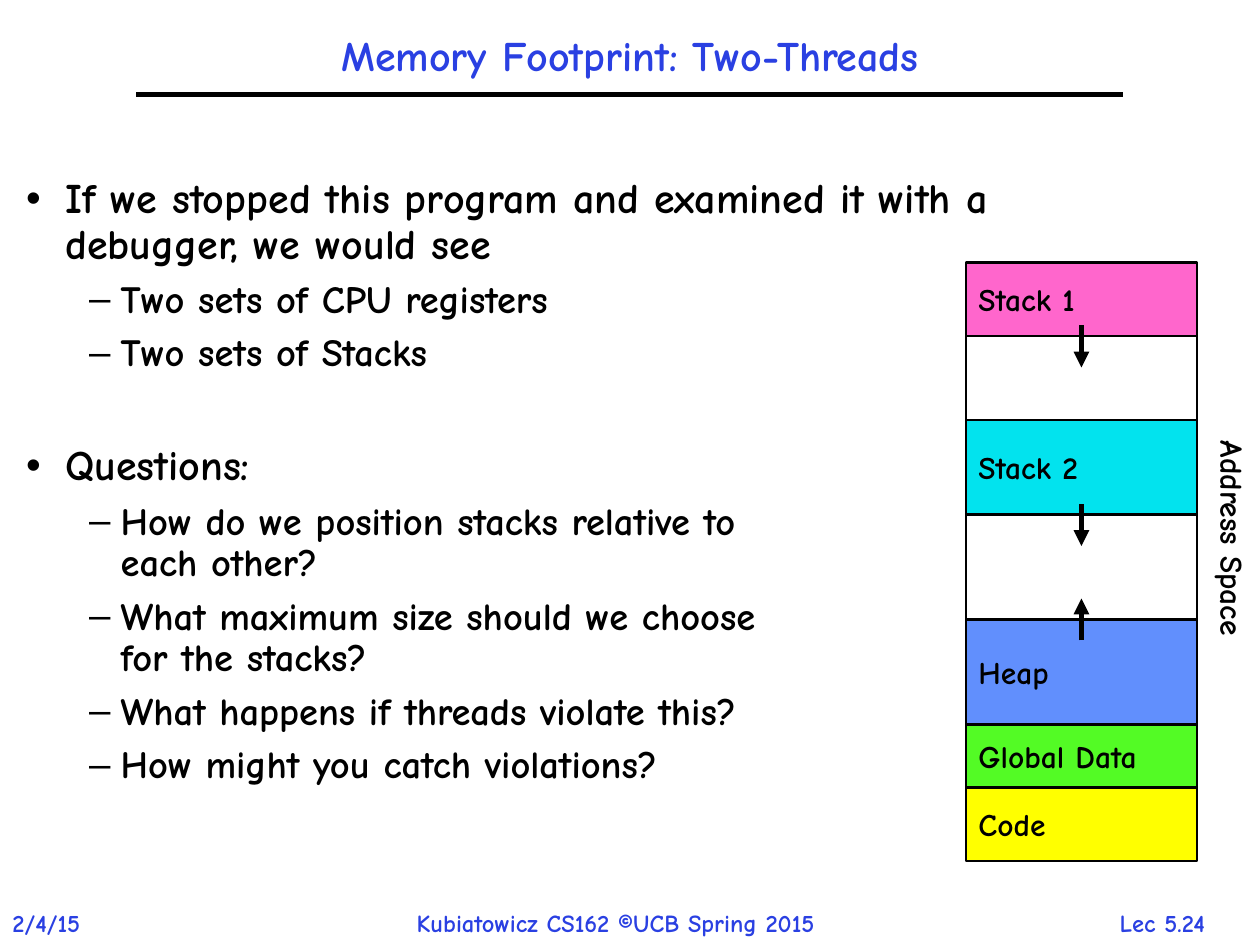
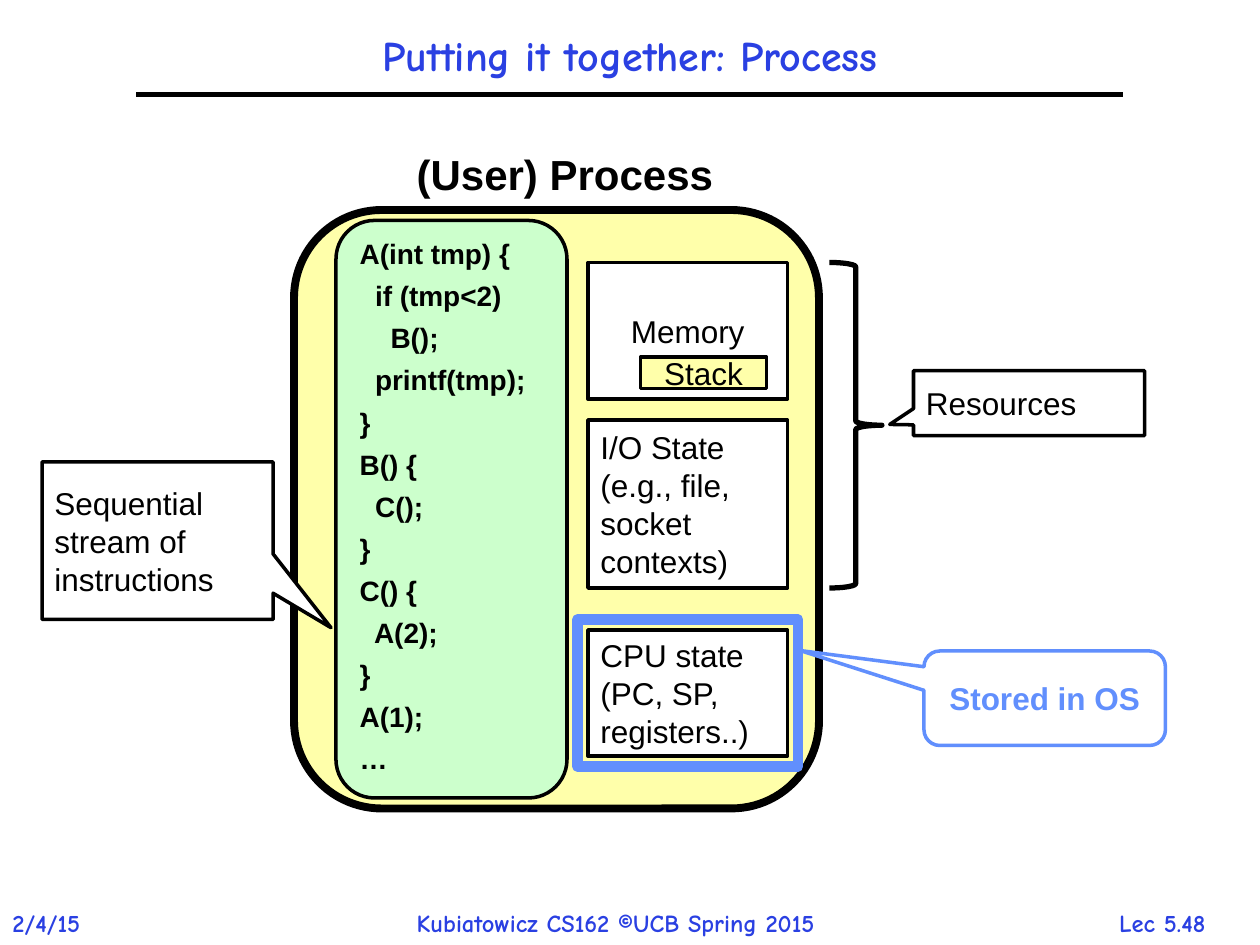
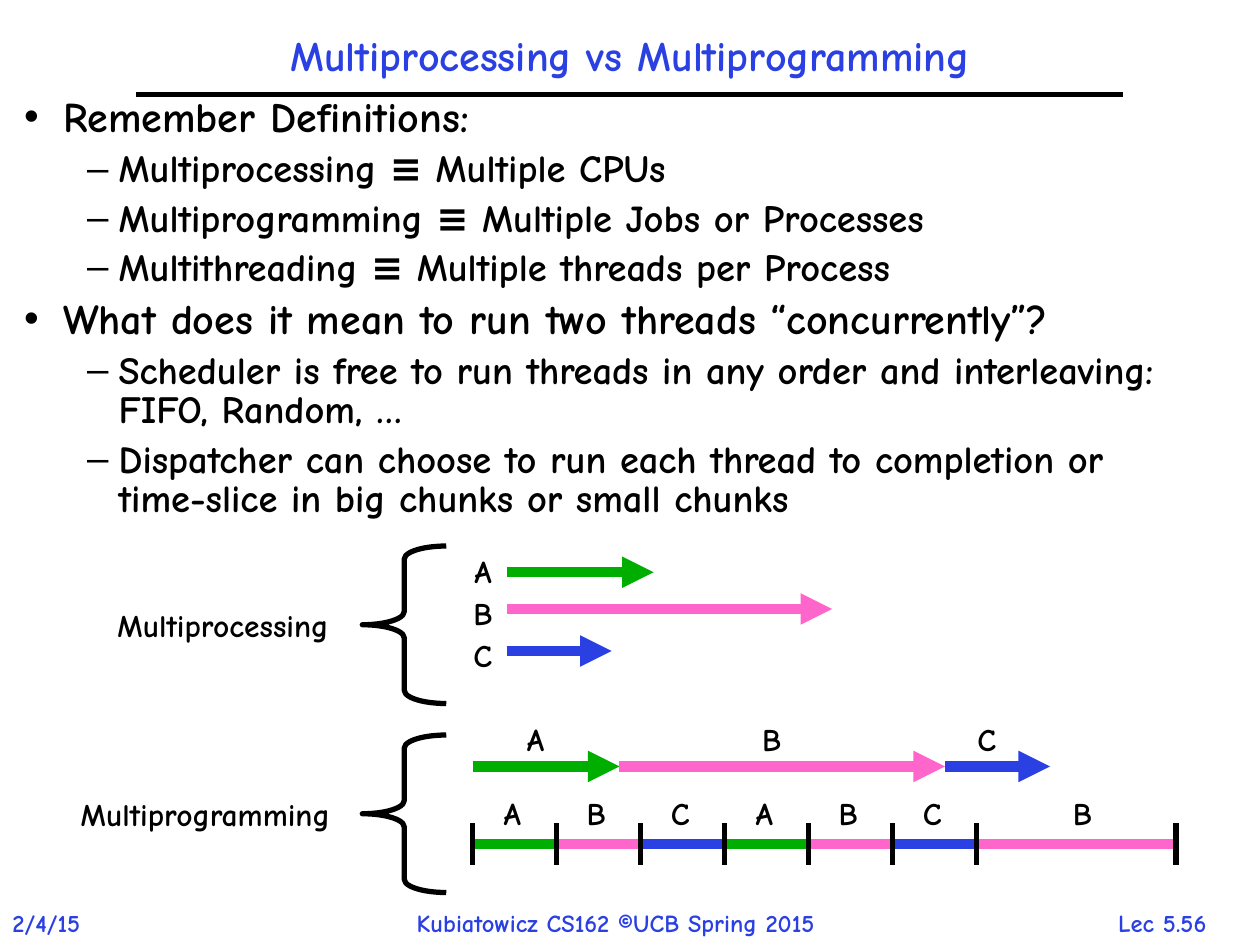
"""Build three lecture slides on threads, processes and multiprogramming."""
from lxml import etree
from pptx import Presentation
from pptx import util as u
from pptx.dml.color import RGBColor
from pptx.enum import shapes, text
from pptx.oxml import ns

BLACK = RGBColor(0x00, 0x00, 0x00)
WHITE = RGBColor(0xFF, 0xFF, 0xFF)
BLUE = RGBColor(0x2A, 0x40, 0xE2)
SKY = RGBColor(0x61, 0x8F, 0xFD)
PINK = RGBColor(0xFF, 0x66, 0xCC)
CYAN = RGBColor(0x02, 0xE3, 0xEE)
LIME = RGBColor(0x53, 0xFB, 0x25)
YELLOW = RGBColor(0xFF, 0xFF, 0x00)
CREAM = RGBColor(0xFF, 0xFF, 0xAA)
MINT = RGBColor(0xCC, 0xFF, 0xCC)
GREEN = RGBColor(0x00, 0xAE, 0x00)

COLUMNS, ROWS, PER_INCH = 120, 90, 12
LEFT, CENTER = text.PP_ALIGN.LEFT, text.PP_ALIGN.CENTER
SHAPE = shapes.MSO_SHAPE

TITLE = {"name": "Comic Neue", "size": u.Pt(24), "bold": True}
FOOTER = {**TITLE, "size": u.Pt(14)}
LABEL = {**TITLE, "size": u.Pt(18)}
PLAIN = {"name": "Arial", "size": u.Pt(18), "bold": False}
STRONG = {**PLAIN, "bold": True}
HEADING = {**STRONG, "size": u.Pt(24)}
CODE = {**STRONG, "size": u.Pt(16)}

LEVEL_SIZES = (24, 22)
LEVEL_INDENTS = ((0.31, -0.31), (0.75, -0.25))
JOB_COLOURS = {"A": GREEN, "B": PINK, "C": BLUE}

DEBUGGER_POINTS = [
    (0, "If we stopped this program and examined it with a debugger, we would see"),
    (1, "Two sets of CPU registers"),
    (1, "Two sets of Stacks"),
    (0, "Questions:"),
    (1, "How do we position stacks relative to\veach other?"),
    (1, "What maximum size should we choose\vfor the stacks?"),
    (1, "What happens if threads violate this?"),
    (1, "How might you catch violations?"),
]
DEFINITION_POINTS = [
    (0, "Remember Definitions:"),
    (1, "Multiprocessing ≡ Multiple CPUs"),
    (1, "Multiprogramming ≡ Multiple Jobs or Processes"),
    (1, "Multithreading ≡ Multiple threads per Process"),
    (0, "What does it mean to run two threads “concurrently”?"),
    (1, "Scheduler is free to run threads in any order and interleaving: FIFO, Random, …"),
    (1, "Dispatcher can choose to run each thread to completion or time-slice "
        "in big chunks or small chunks"),
]
MEMORY_SEGMENTS = [
    ("Stack 1", 7, PINK), ("", 8, WHITE), ("Stack 2", 9, CYAN), ("", 10, WHITE),
    ("Heap", 10, SKY), ("Global Data", 6, LIME), ("Code", 7, YELLOW),
]
PROGRAM = """A(int tmp) {
  if (tmp<2)
    B();
  printf(tmp);
}
B() {
  C();
}
C() {
  A(2);
}
A(1);
…""".split("\n")


def cells(count):
    """Turn a number of grid cells into a length."""
    return u.Inches(count / PER_INCH)


def assign(target, values):
    """Set each named attribute of the target."""
    for name, value in values.items():
        setattr(target, name, value)


def within(box, left, top, width, height):
    """Shift a relative box to the corner of its parent box."""
    return box[0] + left, box[1] + top, width, height


def write(frame, lines, style, colour=BLACK, align=LEFT, **spacing):
    """Fill a text frame with one paragraph for each line."""
    before = spacing.pop("space_before", None)
    for index, line in enumerate(lines):
        para = frame.add_paragraph() if index else frame.paragraphs[0]
        para.text = line
        assign(para, {"alignment": align, **spacing})
        if index and before:
            para.space_before = before
        assign(para.font, style)
        para.font.color.rgb = colour


def add_label(page, box, line, style=LABEL, colour=BLACK, align=LEFT):
    """Add a one-line text box."""
    label = page.shapes.add_textbox(*map(cells, box))
    label.text_frame.word_wrap = True
    write(label.text_frame, [line], style, colour, align)
    return label


def add_figure(page, kind, box, fill=WHITE, line=BLACK, width=2, adjust=()):
    """Add a flat preset shape with an outline."""
    figure = page.shapes.add_shape(kind, *map(cells, box))
    figure.shadow.inherit = False
    if fill is None:
        figure.fill.background()
    else:
        figure.fill.solid()
        figure.fill.fore_color.rgb = fill
    figure.line.color.rgb = line
    figure.line.width = u.Pt(width)
    for index, value in enumerate(adjust):
        figure.adjustments[index] = value
    assign(figure.text_frame,
           {"word_wrap": True, "vertical_anchor": text.MSO_ANCHOR.MIDDLE})
    return figure


def add_line(page, start, end, colour=BLACK, width=3, arrow=False):
    """Add a straight line between two grid points."""
    line = page.shapes.add_connector(
        shapes.MSO_CONNECTOR.STRAIGHT, *map(cells, (*start, *end)))
    line.line.color.rgb = colour
    line.line.width = u.Pt(width)
    if arrow:
        etree.SubElement(line.line._get_or_add_ln(), ns.qn("a:tailEnd"), type="triangle")
    etree.SubElement(line._element.spPr, ns.qn("a:effectLst"))


def place(holder, box, **frame_values):
    """Move a placeholder to a box and return its text frame."""
    assign(holder, dict(zip(("left", "top", "width", "height"), map(cells, box))))
    assign(holder.text_frame, {"auto_size": text.MSO_AUTO_SIZE.NONE, **frame_values})
    return holder.text_frame


def add_page(deck, layout, title, number):
    """Start a slide with its title, rule and footers."""
    page = deck.slides.add_slide(deck.slide_layouts.get_by_name(layout))
    frame = place(page.shapes.title, (13, 2, 94, 7), vertical_anchor=text.MSO_ANCHOR.MIDDLE)
    write(frame, [title], TITLE, BLUE, CENTER, line_spacing=0.9)
    add_line(page, (13, 9), (107, 9))
    footers = ((0, 12, "2/4/15", LEFT),
               (38.5, 46.5, "Kubiatowicz CS162 ©UCB Spring 2015", LEFT),
               (103.4, 14.6, f"Lec {number}", CENTER))
    for left, width, line, align in footers:
        add_label(page, (left, 85.9, width, 4), line, FOOTER, BLUE, align)
    return page


def fill_body(page, box, points, spacing, share):
    """Set the two-level list, spaced by a share of the text size."""
    frame = place(page.placeholders[1], box, vertical_anchor=text.MSO_ANCHOR.TOP)
    write(frame, [line for _, line in points], TITLE, line_spacing=spacing)
    for index, (para, (level, _)) in enumerate(zip(frame.paragraphs, points)):
        size = LEVEL_SIZES[level]
        margin, indent = LEVEL_INDENTS[level]
        props = para._p.get_or_add_pPr()
        props.set("marL", str(u.Inches(margin)))
        props.set("indent", str(u.Inches(indent)))
        para.level = level
        para.font.size = u.Pt(size)
        para.space_before = u.Pt(size * share if index else 0)
    return frame


def draw_memory_map(page, box):
    """Stack the memory segments and show how they grow."""
    left, top, width, _ = box
    segment_top = 0
    for name, height, colour in MEMORY_SEGMENTS:
        segment = add_figure(page, SHAPE.RECTANGLE,
                             within(box, 0, segment_top, width, height), colour, width=1.5)
        if name:
            write(segment.text_frame, [name], LABEL)
        segment_top += height
    middle = left + width / 2
    for start, end in ((6, 10), (23, 27), (36, 32)):
        add_line(page, (middle, top + start), (middle, top + end), arrow=True)
    label = add_label(page, within(box, 13.2, 25.6, 24.4, 4.8), "Address Space")
    label.rotation = 90


def draw_process(page, box):
    """Draw the process with its code, resources and processor state."""
    add_figure(page, SHAPE.ROUNDED_RECTANGLE, box, CREAM, width=4.5, adjust=(0.167,))
    add_label(page, within(box, 7.8, -6.4, 36, 6), "(User) Process", HEADING, align=CENTER)
    parts = (
        ((28, 5, 19, 13), ["Memory"], WHITE, CENTER),
        ((33, 14, 12, 3), ["Stack"], CREAM, CENTER),
        ((28, 20, 19, 16), ["I/O State", "(e.g., file, socket contexts)"], WHITE, LEFT),
        ((28, 40, 19, 12), ["CPU state (PC, SP, registers..)"], WHITE, LEFT),
    )
    for part, lines, fill, align in parts:
        figure = add_figure(page, SHAPE.RECTANGLE, within(box, *part), fill)
        write(figure.text_frame, lines, PLAIN, align=align)
    add_figure(page, SHAPE.RECTANGLE, within(box, 27, 39, 21, 14), None, SKY, 6)


def draw_notes(page, box):
    """Add the code and the callouts around the process."""
    add_figure(page, SHAPE.RIGHT_BRACE, within(box, 51, 5, 5, 31), width=3, adjust=(0.083, 0.5))
    callouts = (
        ((-24, 24, 22, 15), "Sequential stream of instructions", (0.751, 0.552)),
        ((59, 15.3, 22, 6.2), "Resources", (-0.603, 0.327)),
    )
    for part, line, adjust in callouts:
        callout = add_figure(page, SHAPE.RECTANGULAR_CALLOUT, within(box, *part), adjust=adjust)
        write(callout.text_frame, [line], PLAIN)
    stored = add_figure(page, SHAPE.ROUNDED_RECTANGULAR_CALLOUT, within(box, 60, 42, 23, 9),
                        line=SKY, adjust=(-1.013, -0.505, 0.167))
    write(stored.text_frame, ["Stored in OS"], STRONG, SKY, CENTER)
    code = add_figure(page, SHAPE.ROUNDED_RECTANGLE, within(box, 4, 1, 22, 55), MINT,
                      adjust=(0.167,))
    write(code.text_frame, PROGRAM, CODE, line_spacing=0.8, space_before=u.Pt(8.7))


def add_job_label(page, middle, top, job):
    """Centre the letter of a job on a column."""
    add_label(page, (middle - 2.5, top, 5, 4.8), job, align=CENTER)


def draw_brace(page, box, name, indent):
    """Name a timeline and open its brace."""
    add_label(page, within(box, indent, 5.1, 28, 4.8), name)
    add_figure(page, SHAPE.LEFT_BRACE, within(box, 28, 0, 8, 15), None, width=3,
               adjust=(0.156, 0.5))


def draw_multiprocessing(page, box):
    """Run the jobs side by side."""
    left, top = box[:2]
    draw_brace(page, box, "Multiprocessing", 3.5)
    start = left + 41.75
    for row, (job, length, drop) in enumerate((("A", 14, 2.5), ("B", 31, 6), ("C", 10, 10))):
        add_job_label(page, left + 39.5, top + 4 * row, job)
        add_line(page, (start, top + drop), (start + length, top + drop),
                 JOB_COLOURS[job], 6, True)


def draw_multiprogramming(page, box):
    """Run the jobs in turn, whole and then in slices."""
    left, top = box[:2]
    draw_brace(page, box, "Multiprogramming", 0)
    start = left + 38.5
    for job, length in (("A", 14), ("B", 31), ("C", 10)):
        add_line(page, (start, top + 3), (start + length, top + 3), JOB_COLOURS[job], 6, True)
        add_job_label(page, start + length / 2 - 1, top - 2, job)
        start += length
    start, lane = left + 38.5, top + 10.4
    slices = [(job, 8, -0.2) for job in "ABCABC"] + [("B", 19, 0.6)]
    ticks = [start]
    for job, length, nudge in slices:
        add_line(page, (start, lane), (start + length, lane), JOB_COLOURS[job], 6)
        add_job_label(page, start + length / 2 + nudge, top + 5, job)
        start += length
        ticks.append(start)
    for tick in ticks:
        add_line(page, (tick, lane - 2), (tick, lane + 2))


def build_footprint(deck):
    """Build the slide on the memory of two threads."""
    page = add_page(deck, "Title and Content", "Memory Footprint: Two-Threads", "5.24")
    frame = fill_body(page, (1.3, 16.3, 107, 67), DEBUGGER_POINTS, 0.9, 0.31)
    frame.paragraphs[3].space_before = u.Pt(39.6)
    draw_memory_map(page, (92, 25, 22, 57))


def build_process(deck):
    """Build the slide on the parts of a process."""
    page = add_page(deck, "Title Only", "Putting it together: Process", "5.48")
    box = (28, 20, 50, 57)
    draw_process(page, box)
    draw_notes(page, box)


def build_concurrency(deck):
    """Build the slide on running jobs together."""
    page = add_page(deck, "Title and Content", "Multiprocessing vs Multiprogramming", "5.56")
    fill_body(page, (1.1, 8.8, 114.4, 44.8), DEFINITION_POINTS, 0.85, 0.26)
    draw_multiprocessing(page, (6.5, 52, 106, 15))
    draw_multiprogramming(page, (6.5, 70, 106, 15))


def main():
    """Build and save the deck."""
    deck = Presentation()
    assign(deck, {"slide_width": cells(COLUMNS), "slide_height": cells(ROWS)})
    for build in (build_footprint, build_process, build_concurrency):
        build(deck)
    deck.save("out.pptx")


if __name__ == "__main__":
    main()
